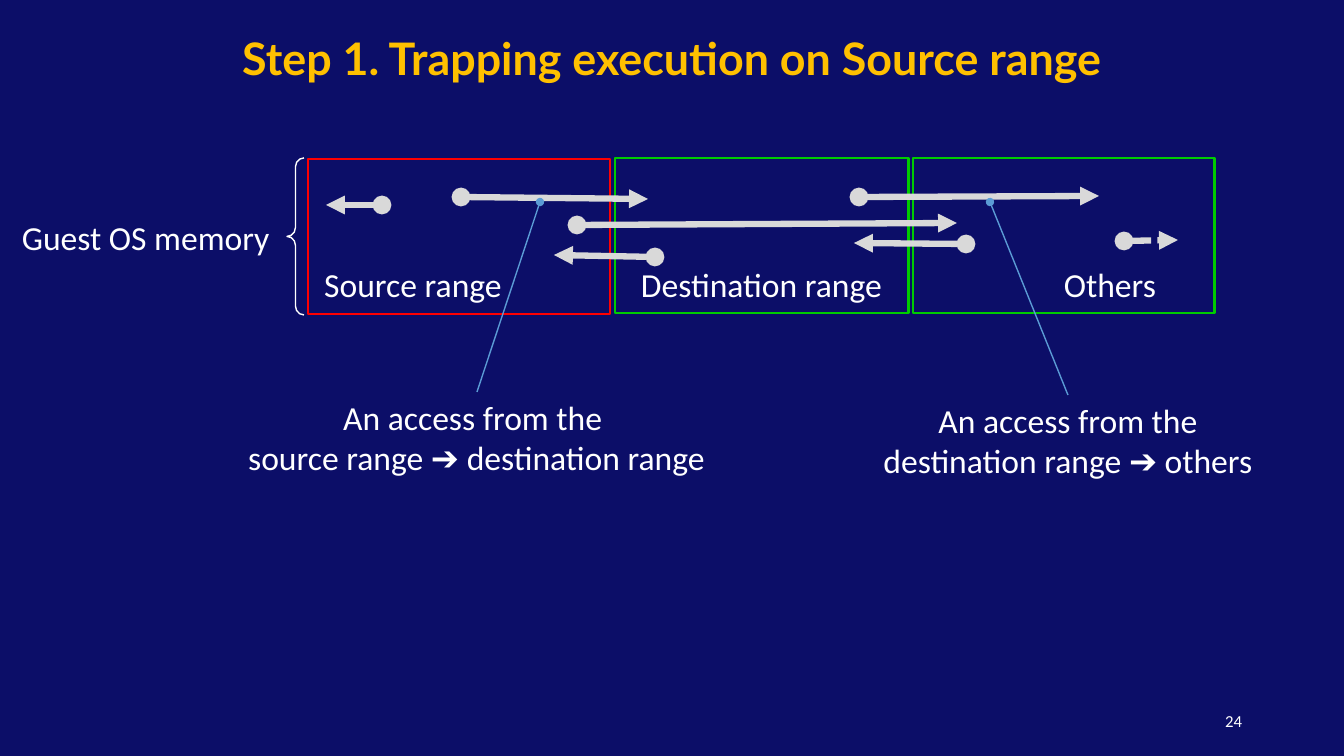
from dataclasses import dataclass

import lxml.etree
import pptx
import pptx.dml.color
import pptx.enum.dml
import pptx.enum.shapes
import pptx.enum.text
import pptx.oxml.ns
import pptx.slide
import pptx.util

EMU_PER_PX = 914400 / 100.8
WIDTH, HEIGHT = 1344, 756
NAVY, AMBER, WHITE = "0C0E68", "FFC000", "FFFFFF"
GREEN, RED, GREY, BLUE = "00CC00", "FF0000", "D9D9D9", "5B9BD5"
SHAPE = pptx.enum.shapes.MSO_SHAPE
ALIGN = pptx.enum.text.PP_ALIGN
ANCHOR = pptx.enum.text.MSO_ANCHOR


@dataclass
class Outline:
    left: int
    top: int
    width: int
    height: int
    color: str
    weight: float = 2
    kind: SHAPE = SHAPE.RECTANGLE


@dataclass
class Label:
    text: str
    left: int
    top: int
    width: int
    height: int = 50
    align: ALIGN = ALIGN.CENTER
    anchor: ANCHOR = ANCHOR.TOP
    size: int = 24
    color: str = WHITE
    font: str = "Calibri"
    bold: bool = False
    spacing: float = 1.0


@dataclass
class Link:
    """A line with a round start; access lines also end in an arrowhead."""
    x1: int
    y1: int
    x2: int
    y2: int
    color: str = GREY
    weight: float = 4.5
    arrow: bool = True
    dashed: bool = False


RANGES = [
    Outline(913, 158, 302, 155, GREEN),
    Outline(615, 158, 294, 155, GREEN),
    Outline(308, 159, 302, 155, RED),
]
BRACE = Outline(287, 158, 17, 157, WHITE, 1, SHAPE.LEFT_BRACE)

ACCESSES = [
    Link(966, 244, 854, 243),
    Link(1124, 241, 1178, 240, dashed=True),
    Link(859, 197, 1099, 196),
    Link(382, 205, 326, 205),
    Link(655, 257, 554, 255),
    Link(577, 225, 957, 223),
    Link(461, 197, 648, 199),
]
CALLOUTS = [
    Link(540, 202, 477, 392, BLUE, 1, arrow=False),
    Link(990, 202, 1068, 395, BLUE, 1, arrow=False),
]

LABELS = [
    Label("Step 1. Trapping execution on Source range", 0, 14, WIDTH, 94,
          anchor=ANCHOR.MIDDLE, size=32, color=AMBER, font="Lato", bold=True,
          spacing=0.9),
    Label("24", 950, 701, 302, 40, ALIGN.RIGHT, ANCHOR.MIDDLE, 12),
    Label("Guest OS memory", 12, 212, 270, align=ALIGN.LEFT),
    Label("An access from the \vsource range ➔ destination range",
          228, 392, 497, 92),
    Label("An access from the\vdestination range ➔ others",
          854, 395, 428, 92),
    Label("Source range", 308, 259, 210),
    Label("Destination range", 615, 259, 293),
    Label("Others", 1009, 259, 202),
]


def px(value: int) -> pptx.util.Emu:
    return pptx.util.Emu(round(value * EMU_PER_PX))


def rgb(color: str) -> pptx.dml.color.RGBColor:
    return pptx.dml.color.RGBColor.from_string(color)


def add_outline(slide: pptx.slide.Slide, item: Outline):
    sp = slide.shapes.add_shape(item.kind, px(item.left), px(item.top),
                                px(item.width), px(item.height))
    sp.shadow.inherit = False
    sp.fill.background()
    sp.line.color.rgb = rgb(item.color)
    sp.line.width = pptx.util.Pt(item.weight)
    return sp


def add_link(slide: pptx.slide.Slide, link: Link) -> None:
    cxn = slide.shapes.add_connector(
        pptx.enum.shapes.MSO_CONNECTOR.STRAIGHT,
        px(link.x1), px(link.y1), px(link.x2), px(link.y2))
    cxn.line.color.rgb = rgb(link.color)
    cxn.line.width = pptx.util.Pt(link.weight)
    if link.dashed:
        cxn.line.dash_style = pptx.enum.dml.MSO_LINE.SQUARE_DOT
    qn = pptx.oxml.ns.qn
    sp_pr = cxn._element.spPr
    ln = sp_pr.find(qn("a:ln"))
    lxml.etree.SubElement(ln, qn("a:headEnd"), type="oval")
    if link.arrow:
        lxml.etree.SubElement(ln, qn("a:tailEnd"), type="triangle")
    lxml.etree.SubElement(sp_pr, qn("a:effectLst"))


def add_label(slide: pptx.slide.Slide, label: Label) -> None:
    box = slide.shapes.add_textbox(px(label.left), px(label.top),
                                   px(label.width), px(label.height))
    tf = box.text_frame
    tf.word_wrap = True
    tf.vertical_anchor = label.anchor
    p = tf.paragraphs[0]
    p.text = label.text
    p.alignment = label.align
    p.line_spacing = label.spacing
    p.font.name = label.font
    p.font.size = pptx.util.Pt(label.size)
    p.font.bold = label.bold
    p.font.color.rgb = rgb(label.color)


def main() -> None:
    prs = pptx.Presentation()
    prs.slide_width, prs.slide_height = px(WIDTH), px(HEIGHT)
    slide = prs.slides.add_slide(prs.slide_layouts[6])
    slide.background.fill.solid()
    slide.background.fill.fore_color.rgb = rgb(NAVY)

    for item in RANGES:
        add_outline(slide, item)
    for link in ACCESSES:
        add_link(slide, link)
    brace = add_outline(slide, BRACE)
    brace.adjustments[0] = 0.52
    for link in CALLOUTS:
        add_link(slide, link)
    for label in LABELS:
        add_label(slide, label)
    prs.save("out.pptx")


if __name__ == "__main__":
    main()
